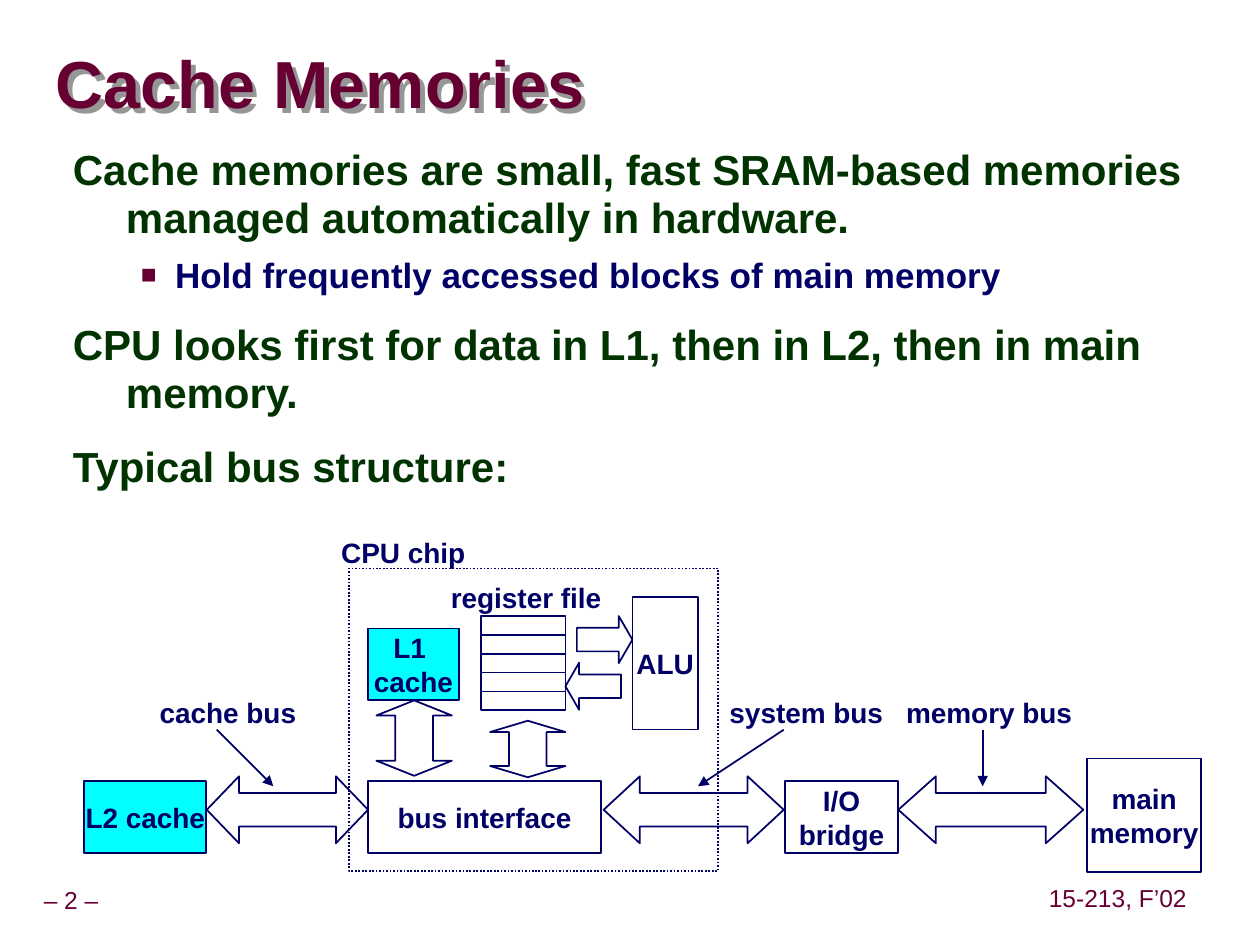
from lxml.etree import SubElement
from pptx import Presentation
from pptx.dml.color import RGBColor
from pptx.enum.dml import MSO_LINE
from pptx.enum.shapes import MSO_CONNECTOR, MSO_SHAPE
from pptx.enum.text import MSO_ANCHOR, MSO_AUTO_SIZE, PP_ALIGN
from pptx.oxml.ns import qn
from pptx.util import Cm, Pt

THEME = {
    "font": "Arial",
    "maroon": "660033", "green": "003300", "navy": "000066",
    "cyan": "00FFFF", "shadow": "969696",
    "title": 38, "body": 24, "sub": 20, "label": 16, "footer": 14, "line": 1,
}

# Content; positions are left, top, width, height in cm
TITLE = "Cache Memories"
BODY = [
    (0, "Cache memories are small, fast SRAM-based memories managed automatically in hardware."),
    (1, "Hold frequently accessed blocks of main memory"),
    (0, "CPU looks first for data in L1, then in L2, then in main memory."),
    (0, "Typical bus structure:"),
]
FOOTERS = [("– 2 –", (-0.23, 17.78, 3.33, 0.79)),
           ("15-213, F’02", (21.01, 17.75, 3.05, 0.79))]

BUS_TOP, BUS_HEIGHT = 15.75, 1.45
ARROW_TOP, ARROW_HEIGHT = 15.65, 1.35
BOXES = [
    (["main", "memory"], (21.92, 15.29, 2.29, 2.29), None),
    (["I/O", "bridge"], (15.82, BUS_TOP, 2.29, BUS_HEIGHT), None),
    (["bus interface"], (7.42, BUS_TOP, 4.7, BUS_HEIGHT), None),
    (["L2 cache"], (1.7, BUS_TOP, 2.46, BUS_HEIGHT), "cyan"),
    (["L1 ", "cache"], (7.42, 12.67, 1.83, BUS_HEIGHT), "cyan"),
    (["ALU"], (12.75, 12.04, 1.32, 2.67), None),
]
REGISTERS, REGISTER_BOX = 5, (9.7, 12.42, 1.7, 0.38)
CHIP_BOX = (7.04, 11.46, 7.44, 6.1)
BLOCK_ARROWS = [  # shape, box, head length
    (MSO_SHAPE.LEFT_RIGHT_ARROW, (18.11, ARROW_TOP, 3.73, ARROW_HEIGHT), 0.56),
    (MSO_SHAPE.LEFT_RIGHT_ARROW, (12.17, ARROW_TOP, 3.63, ARROW_HEIGHT), 0.54),
    (MSO_SHAPE.LEFT_RIGHT_ARROW, (4.17, ARROW_TOP, 3.25, ARROW_HEIGHT), 0.48),
    (MSO_SHAPE.RIGHT_ARROW, (11.63, 12.42, 1.12, 0.95), 0.29),
    (MSO_SHAPE.LEFT_ARROW, (11.4, 13.36, 1.12, 0.95), 0.29),
    (MSO_SHAPE.UP_DOWN_ARROW, (9.88, 14.53, 1.52, 1.14), 0.2),
    (MSO_SHAPE.UP_DOWN_ARROW, (7.59, 14.12, 1.52, 1.52), 0.2),
]
LABEL_HEIGHT, BUS_LABEL_TOP = 0.94, 13.89
LABELS = [  # text, left, top, width
    ("register file", 8.84, 11.58, 3.53),
    ("CPU chip", 6.63, 10.67, 3.0),
    ("cache bus", 2.97, BUS_LABEL_TOP, 3.25),
    ("system bus", 14.45, BUS_LABEL_TOP, 3.61),
    ("memory bus", 18.01, BUS_LABEL_TOP, 3.86),
]
POINTER_TOP, POINTER_BOTTOM = 14.71, 15.85
POINTERS = [(4.37, 5.51), (15.8, 14.07), (19.81, 19.81)]  # start x, end x


def color(name):
    return RGBColor.from_string(THEME[name])


def write(tf, lines, size="label", ink="navy", bold=True, align=PP_ALIGN.CENTER,
          anchor=MSO_ANCHOR.MIDDLE, wrap=False, inset=0.13, spacing=1.0):
    """Fill a text frame, one paragraph per line."""
    tf.word_wrap = wrap
    tf.vertical_anchor = anchor
    tf.margin_left = tf.margin_right = Cm(inset)
    tf.margin_top = tf.margin_bottom = Cm(min(inset, 0.13))
    for i, line in enumerate(lines):
        p = tf.add_paragraph() if i else tf.paragraphs[0]
        p.alignment, p.line_spacing = align, spacing
        r = p.add_run()
        r.text = line
        r.font.name, r.font.size, r.font.bold = THEME["font"], Pt(THEME[size]), bold
        r.font.color.rgb = color(ink)


def add_text(s, box, lines, grow=False, **fmt):
    sp = s.shapes.add_textbox(*map(Cm, box))
    write(sp.text_frame, lines, **fmt)
    if grow:
        sp.text_frame.auto_size = MSO_AUTO_SIZE.SHAPE_TO_FIT_TEXT
    return sp


def add_outline(s, kind, box, fill=None):
    sp = s.shapes.add_shape(kind, *map(Cm, box))
    sp.shadow.inherit = False
    if fill:
        sp.fill.solid()
        sp.fill.fore_color.rgb = color(fill)
    else:
        sp.fill.background()
    sp.line.color.rgb = color("navy")
    sp.line.width = Pt(THEME["line"])
    return sp


def add_block_arrow(s, kind, box, head):
    sp = add_outline(s, kind, box)
    sp.adjustments[len(sp.adjustments) - 1] = head
    # The up-down preset lists its shaft guide twice; keep shaft and head only
    guides = sp._element.findall(".//" + qn("a:gd"))
    for extra in guides[:-2]:
        extra.getparent().remove(extra)


def add_pointer(s, x1, x2):
    c = s.shapes.add_connector(MSO_CONNECTOR.STRAIGHT, Cm(x1), Cm(POINTER_TOP),
                               Cm(x2), Cm(POINTER_BOTTOM))
    c.line.color.rgb = color("navy")
    c.line.width = Pt(THEME["line"])
    SubElement(c.line._get_or_add_ln(), qn("a:tailEnd"), type="triangle")
    SubElement(c._element.spPr, qn("a:effectLst"))


def add_shadow(sp):
    """Shadow of an unfilled text box, cast by its letters."""
    effects = SubElement(sp._element.spPr, qn("a:effectLst"))
    shadow = SubElement(effects, qn("a:outerShdw"), dist=str(Cm(0.13)), dir="2700000")
    SubElement(shadow, qn("a:srgbClr"), val=THEME["shadow"])


def set_indent(p, left, hanging):
    pPr = p._p.get_or_add_pPr()
    pPr.set("marL", str(Cm(left)))
    pPr.set("indent", str(-Cm(hanging)))
    return pPr


def set_bullet(pPr):
    SubElement(SubElement(pPr, qn("a:buClr")), qn("a:srgbClr"), val=THEME["maroon"])
    SubElement(pPr, qn("a:buSzPct"), val="75000")
    SubElement(pPr, qn("a:buFont"), typeface=THEME["font"])
    SubElement(pPr, qn("a:buChar"), char="■")


def add_body(s):
    sp = add_text(s, (1.22, 2.84, 23.09, 14.5), [text for _, text in BODY],
                  size="body", ink="green", align=PP_ALIGN.LEFT,
                  anchor=MSO_ANCHOR.TOP, wrap=True, inset=0.25, spacing=0.95)
    for p, (level, _) in zip(sp.text_frame.paragraphs, BODY):
        if level:
            p.level, p.line_spacing, p.space_before = level, 1.0, Pt(6.2)
            p.runs[0].font.size = Pt(THEME["sub"])
            p.runs[0].font.color.rgb = color("navy")
            set_bullet(set_indent(p, 2.06, 0.69))
        else:
            p.space_before = Pt(15)
            set_indent(p, 1.07, 1.07)


def main():
    prs = Presentation()
    prs.slide_width, prs.slide_height = Cm(25.4), Cm(19.05)
    s = prs.slides.add_slide(prs.slide_layouts[6])

    # Footers, title and body
    for text, box in FOOTERS:
        add_text(s, box, [text], grow=True, size="footer", ink="maroon", bold=False,
                 spacing=0.9)
    add_shadow(add_text(s, (1.12, 0.69, 12.04, 2.16), [TITLE], size="title", ink="maroon",
                        align=PP_ALIGN.LEFT, inset=0, spacing=0.87))
    add_body(s)

    # Bus diagram
    for lines, box, fill in BOXES:
        write(add_outline(s, MSO_SHAPE.RECTANGLE, box, fill).text_frame, lines)
    left, top, width, height = REGISTER_BOX
    for i in range(REGISTERS):
        add_outline(s, MSO_SHAPE.RECTANGLE, (left, top + i * height, width, height))
    for kind, box, head in BLOCK_ARROWS:
        add_block_arrow(s, kind, box, head)
    chip = add_outline(s, MSO_SHAPE.RECTANGLE, CHIP_BOX)
    chip.line.dash_style = MSO_LINE.ROUND_DOT

    # Labels and their pointers
    for text, left, top, width in LABELS:
        add_text(s, (left, top, width, LABEL_HEIGHT), [text], grow=True)
    for x1, x2 in POINTERS:
        add_pointer(s, x1, x2)

    prs.save("out.pptx")


if __name__ == "__main__":
    main()
